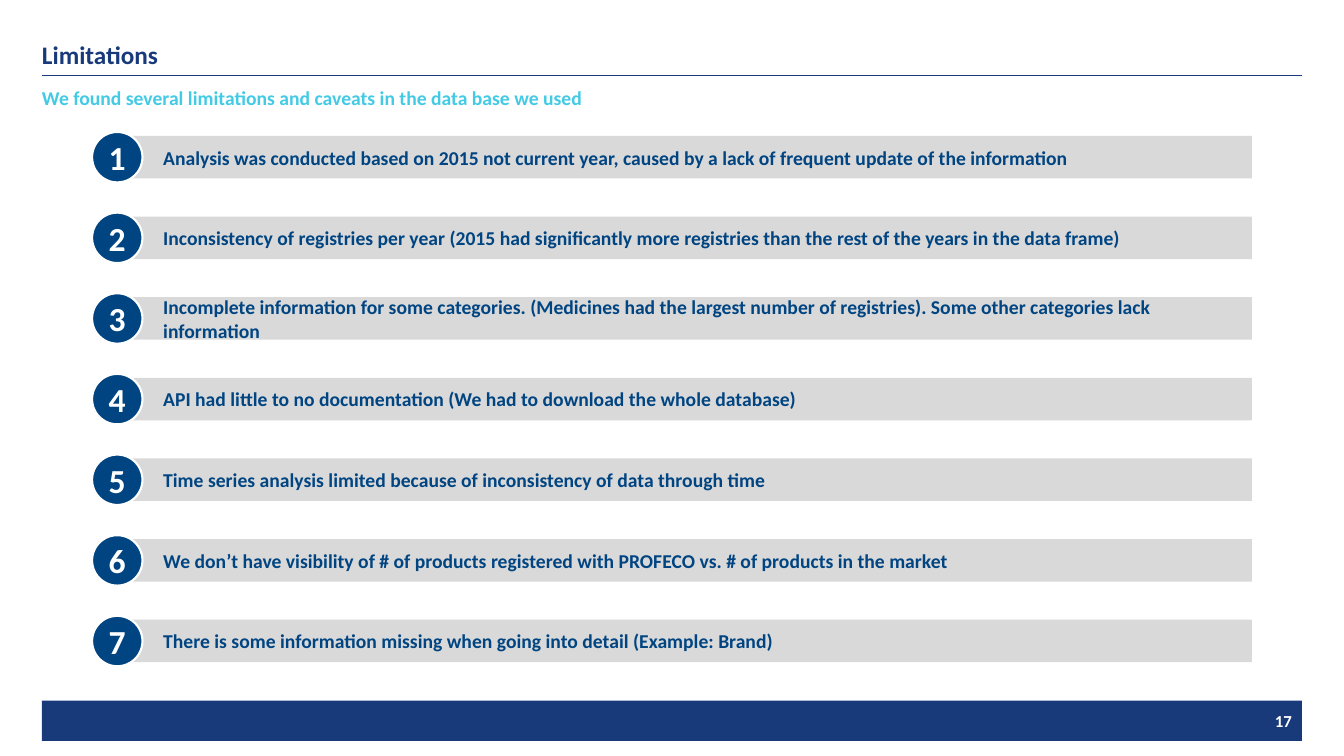
from lxml import etree
from pptx import Presentation
from pptx.dml.color import RGBColor
from pptx.enum import shapes, text
from pptx.oxml.ns import qn
from pptx.util import Pt

NAVY, BLUE, CYAN, GREY, WHITE = "18397A", "004481", "43CAE5", "D9D9D9", "FFFFFF"
LEFT, WIDTH = 30, 900
ROW_TOP, ROW_PITCH = 94.3, 57.6
BAR_HEIGHT, CIRCLE_SIZE = 30.4, 36

limitations = [
    "Analysis was conducted based on 2015 not current year, caused by a lack of frequent update of the information",
    "Inconsistency of registries per year (2015 had significantly more registries than the rest of the years in the data frame)",
    "Incomplete information for some categories. (Medicines had the largest number of registries). Some other categories lack information",
    "API had little to no documentation (We had to download the whole database)",
    "Time series analysis limited because of inconsistency of data through time",
    "We don’t have visibility of # of products registered with PROFECO vs. # of products in the market",
    "There is some information missing when going into detail (Example: Brand)",
]


def write(box, words, size, color, align=text.PP_ALIGN.LEFT, insets=(0, 0, 0, 0)):
    """Fill a box with one bold, vertically centred run; insets are left, top, right, bottom."""
    frame = box.text_frame
    frame.word_wrap = True
    frame.auto_size = text.MSO_AUTO_SIZE.NONE
    frame.vertical_anchor = text.MSO_ANCHOR.MIDDLE
    frame.margin_left, frame.margin_top, frame.margin_right, frame.margin_bottom = map(Pt, insets)
    para = frame.paragraphs[0]
    para.alignment = align
    span = para.add_run()
    span.text = words
    span.font.name, span.font.size, span.font.bold = "Calibri", Pt(size), True
    span.font.color.rgb = RGBColor.from_string(color)
    return para


def add_block(parent, kind, left, top, width, height, fill):
    block = parent.add_shape(kind, Pt(left), Pt(top), Pt(width), Pt(height))
    block.shadow.inherit = False
    block.fill.solid()
    block.fill.fore_color.rgb = RGBColor.from_string(fill)
    block.line.fill.background()
    return block


deck = Presentation()
deck.slide_width, deck.slide_height = Pt(960), Pt(540)
page = deck.slides.add_slide(deck.slide_layouts[5])

# Heading
title = page.shapes.title
title.left, title.top, title.width, title.height = Pt(LEFT), Pt(24.8), Pt(WIDTH), Pt(28.8)
write(title, "Limitations", 18, NAVY)

rule = page.shapes.add_connector(shapes.MSO_CONNECTOR.STRAIGHT, Pt(LEFT), Pt(54), Pt(LEFT + WIDTH), Pt(54))
rule.line.color.rgb = RGBColor.from_string(NAVY)
rule.line.width = Pt(1)
etree.SubElement(rule.element.spPr, qn("a:effectLst"))

subtitle = page.shapes.add_textbox(Pt(LEFT), Pt(61.5), Pt(WIDTH), Pt(17))
write(subtitle, "We found several limitations and caveats in the data base we used", 14, CYAN)

# Footer with page number
footer = add_block(page.shapes, shapes.MSO_SHAPE.RECTANGLE, LEFT, 500.4, WIDTH, 28.8, NAVY)
write(footer, "17", 12, WHITE, text.PP_ALIGN.RIGHT, (7.2, 3.6, 7.2, 3.6))

# Numbered limitations
for index, limitation in enumerate(limitations):
    row = page.shapes.add_group_shape().shapes
    top = ROW_TOP + index * ROW_PITCH
    bar = add_block(row, shapes.MSO_SHAPE.RECTANGLE, 79.2,
                    top + (CIRCLE_SIZE - BAR_HEIGHT) / 2, 815, BAR_HEIGHT, GREY)
    para = write(bar, limitation, 14, BLUE, insets=(23, 3.6, 0, 3.6))
    para._p.get_or_add_pPr().set("marL", str(Pt(14.4)))

    circle = add_block(row, shapes.MSO_SHAPE.OVAL, 65.8, top, CIRCLE_SIZE, CIRCLE_SIZE, BLUE)
    circle.line.color.rgb = RGBColor.from_string(WHITE)
    circle.line.width = Pt(1.5)
    write(circle, str(index + 1), 24, WHITE, text.PP_ALIGN.CENTER)

deck.save("out.pptx")
